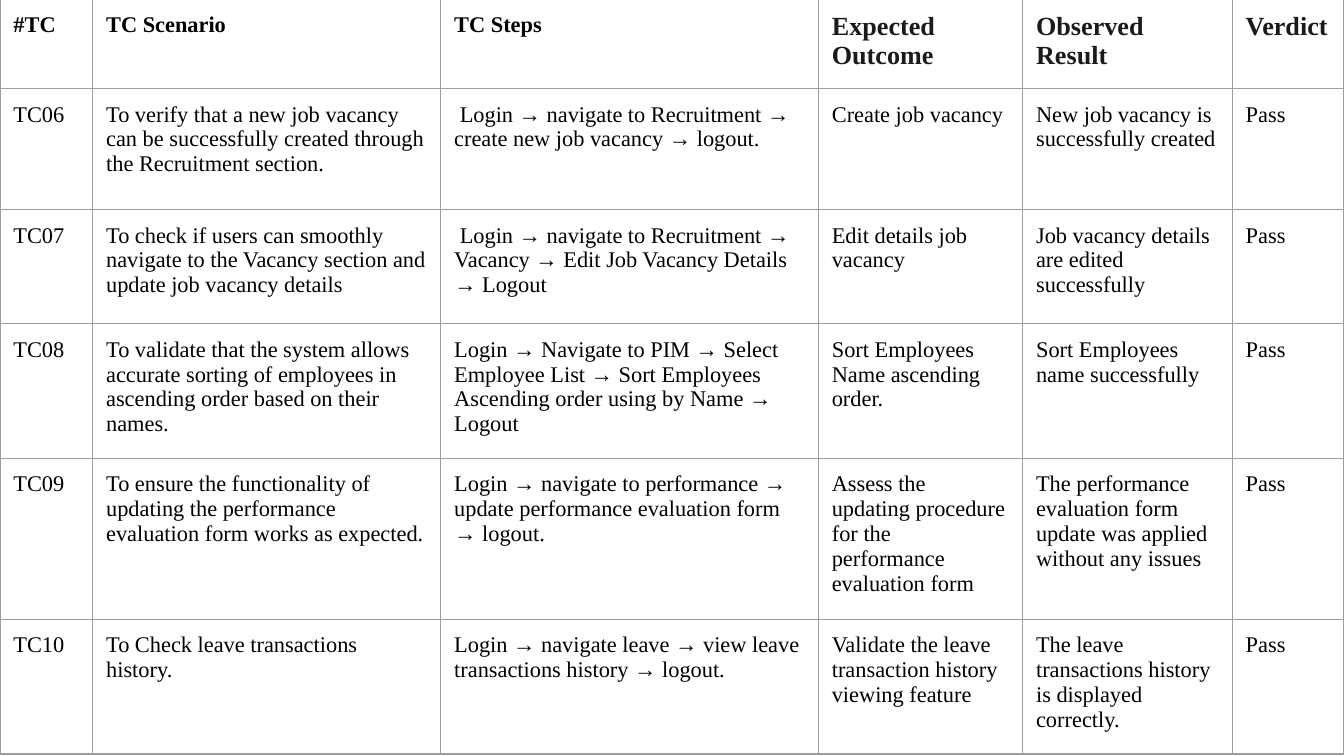
from lxml import etree
from pptx import Presentation
from pptx.dml.color import RGBColor
from pptx.oxml.ns import qn
from pptx.util import Inches, Pt

FONT = "Times New Roman"
BLACK = RGBColor(0x00, 0x00, 0x00)
CHARCOAL = RGBColor(0x1A, 0x1A, 0x1A)
GRAY = RGBColor(0x9E, 0x9E, 0x9E)

SLIDE_WIDTH = Inches(10)
SLIDE_HEIGHT = SLIDE_WIDTH * 9 // 16
COLUMN_WIDTHS = [0.69, 2.59, 2.81, 1.52, 1.56, 0.83]
ROW_HEIGHTS = [0.67, 0.9, 0.85, 1, 1.2, 1]
CELL_MARGIN = Inches(0.1)
RESULT_COLUMN = 3  # headings from here on are larger

HEADINGS = ["#TC", "TC Scenario", "TC Steps",
            "Expected Outcome", "Observed Result", "Verdict"]
TEST_CASES = [
    ["TC06",
     "To verify that a new job vacancy can be successfully created through the Recruitment section.",
     " Login → navigate to Recruitment → create new job vacancy → logout.",
     "Create job vacancy",
     "New job vacancy is successfully created",
     "Pass"],
    ["TC07",
     "To check if users can smoothly navigate to the Vacancy section and update job vacancy details",
     " Login → navigate to Recruitment → Vacancy → Edit Job Vacancy Details → Logout",
     "Edit details job vacancy",
     "Job vacancy details are edited successfully",
     "Pass"],
    ["TC08",
     "To validate that the system allows accurate sorting of employees in ascending order based on their names.",
     "Login → Navigate to PIM → Select Employee List → Sort Employees Ascending order using by Name → Logout",
     "Sort Employees Name ascending order.",
     "Sort Employees name successfully",
     "Pass"],
    ["TC09",
     "To ensure the functionality of updating the performance evaluation form works as expected.",
     "Login → navigate to performance → update performance evaluation form → logout.",
     "Assess the updating procedure for the performance evaluation form",
     "The performance evaluation form update was applied without any issues",
     "Pass"],
    ["TC10",
     "To Check leave transactions history.",
     "Login → navigate leave → view leave transactions history → logout.",
     "Validate the leave transaction history viewing feature",
     "The leave transactions history is displayed correctly.",
     "Pass"],
]


def add_borders(cell):
    properties = cell._tc.get_or_add_tcPr()
    for position, side in enumerate(("a:lnL", "a:lnR", "a:lnT", "a:lnB")):
        line = etree.Element(qn(side), w=str(Pt(0.75)))
        fill = etree.SubElement(line, qn("a:solidFill"))
        etree.SubElement(fill, qn("a:srgbClr"), val=str(GRAY))
        properties.insert(position, line)


def fill_cell(cell, content, size=12, color=BLACK, bold=False):
    cell.margin_left = cell.margin_right = CELL_MARGIN
    cell.margin_top = cell.margin_bottom = CELL_MARGIN
    cell.fill.background()
    add_borders(cell)
    cell.text_frame.text = content
    font = cell.text_frame.paragraphs[0].runs[0].font
    font.name = FONT
    font.size = Pt(size)
    font.bold = bold
    font.color.rgb = color


def add_test_table(slide):
    frame = slide.shapes.add_table(
        len(ROW_HEIGHTS), len(COLUMN_WIDTHS),
        Inches(0), Inches(-0.01), SLIDE_WIDTH, Inches(5.62))
    table = frame.table
    table.first_row = table.horz_banding = False
    for column, width in zip(table.columns, COLUMN_WIDTHS):
        column.width = Inches(width)
    for row, height in zip(table.rows, ROW_HEIGHTS):
        row.height = Inches(height)

    for index, heading in enumerate(HEADINGS):
        size, color = (14, CHARCOAL) if index >= RESULT_COLUMN else (12, BLACK)
        fill_cell(table.cell(0, index), heading, size, color, bold=True)
    for row_index, test_case in enumerate(TEST_CASES, start=1):
        for index, content in enumerate(test_case):
            fill_cell(table.cell(row_index, index), content)


def main():
    deck = Presentation()
    deck.slide_width = SLIDE_WIDTH
    deck.slide_height = SLIDE_HEIGHT
    slide = deck.slides.add_slide(deck.slide_layouts[6])
    add_test_table(slide)
    deck.save("out.pptx")


if __name__ == "__main__":
    main()
